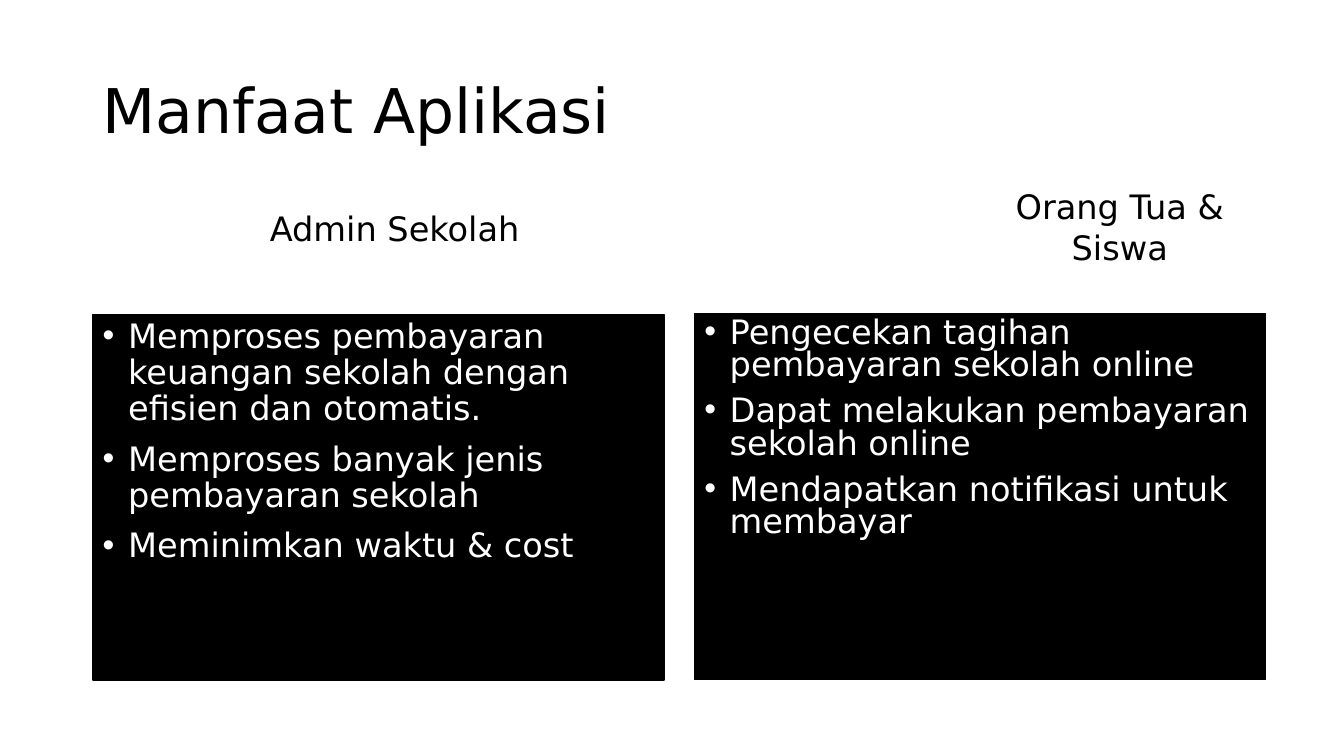
from lxml import etree
from pptx import Presentation
from pptx import util as u
from pptx.dml.color import RGBColor
from pptx.enum import shapes, text
from pptx.oxml.ns import qn

HUES = {"ink": "000000", "paper": "FFFFFF"}
FACE = "DejaVu Sans"
INDENT = u.Cm(0.64)


def tint(name):
    return RGBColor.from_string(HUES[name])


def apply(item, values):
    for name, value in values.items():
        setattr(item, name, value)


def style(para, size, hue, **values):
    apply(para, values)
    apply(para.font, {"name": FACE, "size": u.Pt(size)})
    para.font.color.rgb = tint(hue)


def label(slide, words, area, size=24, anchor=text.MSO_ANCHOR.TOP, **values):
    box = slide.shapes.add_textbox(*map(u.Cm, area))
    apply(box.text_frame, {"word_wrap": True, "vertical_anchor": anchor})
    para = box.text_frame.paragraphs[0]
    para.text = words
    style(para, size, "ink", **values)


def bullet(para):
    props = para._p.get_or_add_pPr()
    props.set("marL", str(INDENT))
    props.set("indent", str(-INDENT))
    etree.SubElement(props, qn("a:buFont")).set("typeface", "Arial")
    etree.SubElement(props, qn("a:buChar")).set("char", "•")


def panel(slide, items, area, pitch):
    """Draw a dark box with a bulleted list; pitch is the line spacing."""
    box = slide.shapes.add_shape(shapes.MSO_SHAPE.RECTANGLE, *map(u.Cm, area))
    box.shadow.inherit = False
    box.fill.solid()
    box.fill.fore_color.rgb = tint("ink")
    box.line.color.rgb = tint("ink")
    box.line.width = u.Pt(1)
    frame = box.text_frame
    apply(frame, {"word_wrap": True, "vertical_anchor": text.MSO_ANCHOR.TOP})
    for rank, words in enumerate(items):
        para = frame.add_paragraph() if rank else frame.paragraphs[0]
        para.text = words
        bullet(para)
        style(para, 24, "paper", alignment=text.PP_ALIGN.LEFT,
              line_spacing=pitch, space_before=u.Pt(10 if rank else 0))


def main():
    deck = Presentation()
    apply(deck, {"slide_width": u.Cm(33.87), "slide_height": u.Cm(19.05)})
    slide = deck.slides.add_slide(deck.slide_layouts[6])

    label(slide, "Manfaat Aplikasi", (2.34, 1.02, 29.21, 3.68), size=44,
          anchor=text.MSO_ANCHOR.MIDDLE, line_spacing=0.9)
    label(slide, "Admin Sekolah", (6.55, 5.11, 6.99, 1.27))
    label(slide, "Orang Tua & Siswa", (24.79, 4.57, 6.86, 2.29),
          alignment=text.PP_ALIGN.CENTER)

    panel(slide, [
        "Memproses pembayaran keuangan sekolah dengan efisien dan otomatis.",
        "Memproses banyak jenis pembayaran sekolah",
        "Meminimkan waktu & cost",
    ], (2.34, 7.92, 14.4, 9.22), 0.9)
    panel(slide, [
        "Pengecekan tagihan pembayaran sekolah online",
        "Dapat melakukan pembayaran sekolah online",
        "Mendapatkan notifikasi untuk membayar",
    ], (17.5, 7.9, 14.4, 9.22), 0.8)

    deck.save("out.pptx")


if __name__ == "__main__":
    main()
